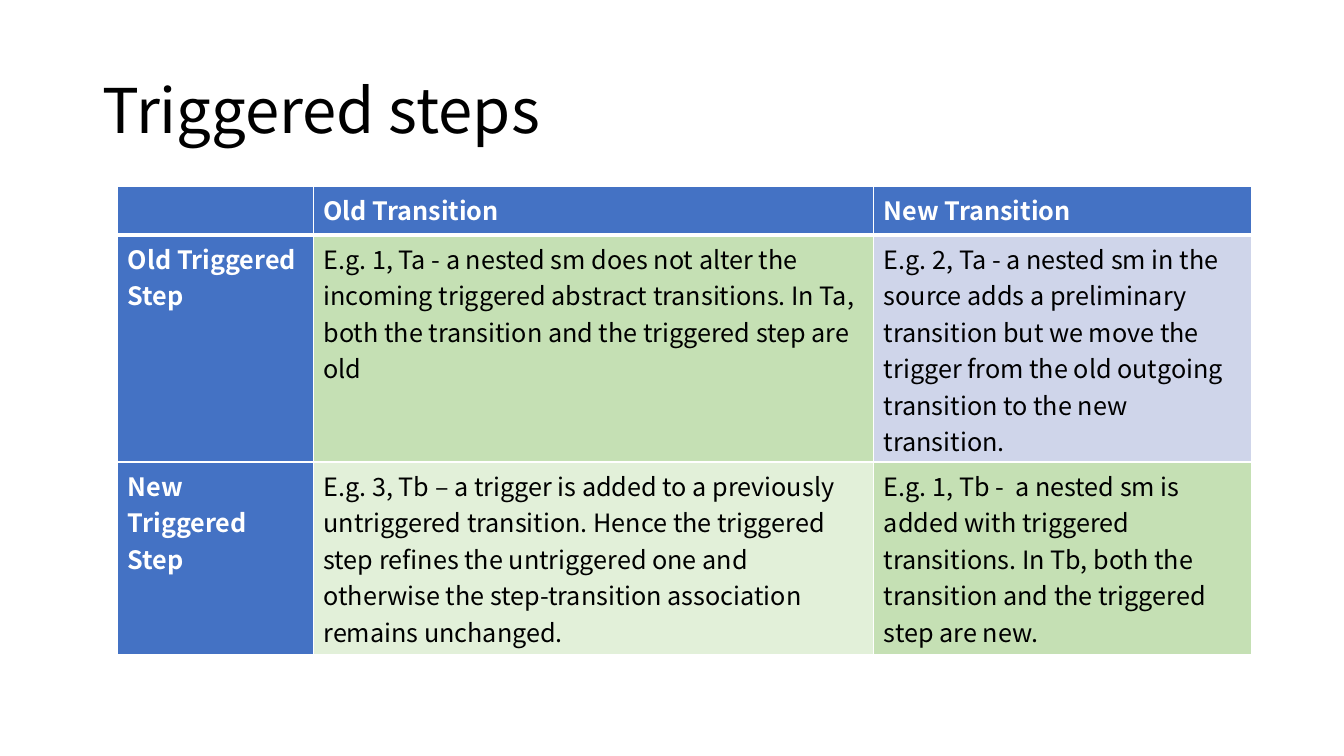
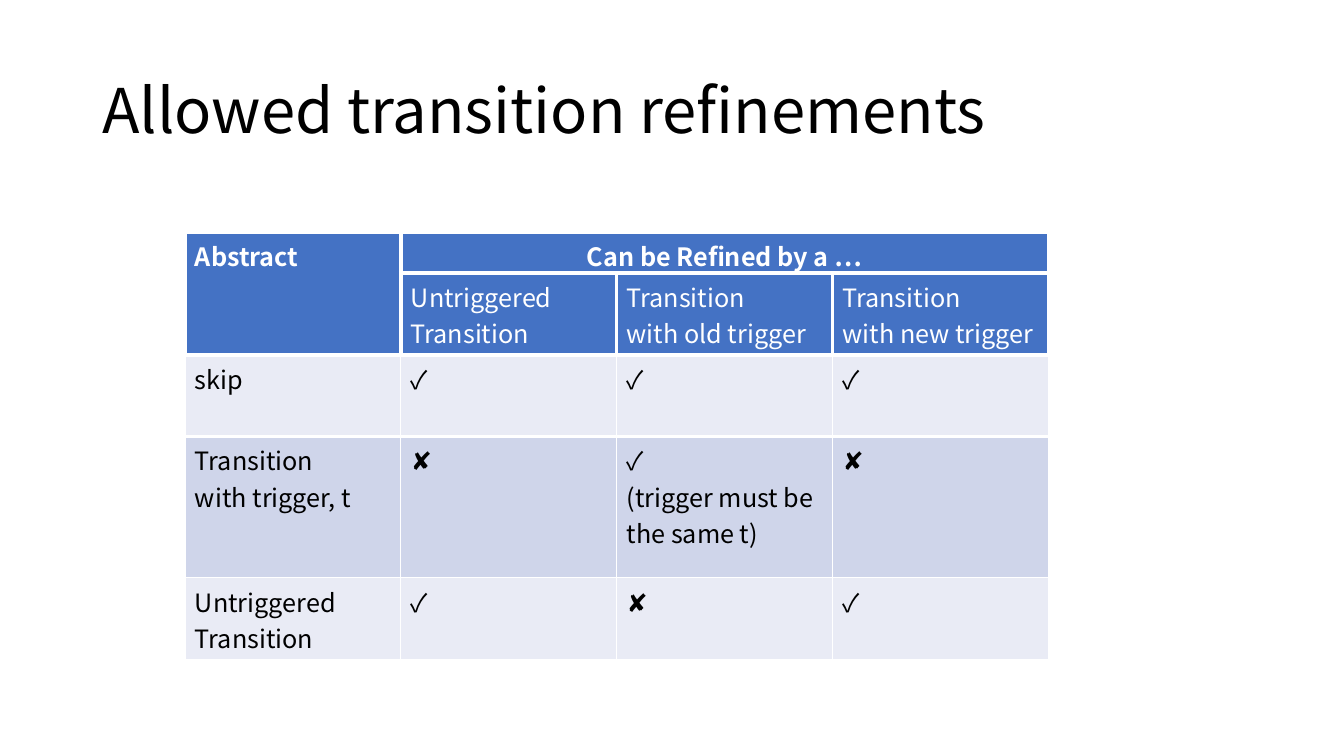
"""Build two slides that tabulate triggered steps and allowed transition refinements."""
from lxml import etree
from pptx import Presentation
from pptx.dml.color import RGBColor
from pptx.enum.text import MSO_ANCHOR, PP_ALIGN
from pptx.oxml.ns import qn
from pptx.util import Cm, Pt

MIDDLE = MSO_ANCHOR.MIDDLE
CENTER = PP_ALIGN.CENTER
FONT = "Noto Sans CJK SC"
BLACK, WHITE, BLUE = "000000", "FFFFFF", "4472C4"
LAVENDER, PALE_LAVENDER = "CFD5EA", "E9EBF5"
GREEN, PALE_GREEN = "C5E0B4", "E2F0D9"
THIN, THICK = 1, 3


def style_text(frame, size, colour, bold=False):
    for paragraph in frame.paragraphs:
        for run in paragraph.runs:
            run.font.name = FONT
            run.font.size = Pt(size)
            run.font.bold = bold
            run.font.color.rgb = RGBColor.from_string(colour)


def set_borders(cell, left, right, top, bottom):
    properties = cell._tc.get_or_add_tcPr()
    for side, weight in zip("LRTB", (left, right, top, bottom)):
        line = etree.SubElement(properties, qn(f"a:ln{side}"), w=str(Pt(weight)))
        paint = etree.SubElement(line, qn("a:solidFill"))
        etree.SubElement(paint, qn("a:srgbClr"), val=WHITE)


triggered_steps = {
    "title": "Triggered steps",
    "left": 2.97, "top": 4.7,
    "columns": [4.93, 14.12, 9.53],
    "heights": [1.22, 5.72, 4.85],
    "texts": [
        ["", "Old Transition", "New Transition"],
        ["Old Triggered Step",
         "E.g. 1, Ta - a nested sm does not alter the incoming triggered abstract "
         "transitions. In Ta, both the transition and the triggered step are old",
         "E.g. 2, Ta - a nested sm in the source adds a preliminary transition but "
         "we move the trigger from the old outgoing transition to the new transition."],
        ["New Triggered Step",
         "E.g. 3, Tb – a trigger is added to a previously untriggered transition. "
         "Hence the triggered step refines the untriggered one and otherwise the "
         "step-transition association remains unchanged.",
         "E.g. 1, Tb -  a nested sm is added with triggered transitions. In Tb, both "
         "the transition and the triggered step are new."],
    ],
    "fills": [[BLUE] * 3, [BLUE, GREEN, LAVENDER], [BLUE, PALE_GREEN, GREEN]],
    "bold_rows": {0, 1, 2},
    "side_lines": [THIN] * 3,
    "row_lines": [THIN, THICK, THIN, THIN],
    "merges": [],
}
refinements = {
    "title": "Allowed transition refinements",
    "left": 4.66, "top": 5.84,
    "columns": [5.44] * 4,
    "heights": [1.04, 2.06, 2.06, 3.56, 2.06],
    "texts": [
        ["Abstract", "Can be Refined by a …", "", ""],
        ["", "Untriggered Transition", "Transition \vwith old trigger",
         "Transition \vwith new trigger"],
        ["skip", "✓", "✓", "✓"],
        ["Transition\vwith trigger, t", "✘", "✓\v(trigger must be the same t)", "✘"],
        ["Untriggered Transition", "✓", "✘", "✓"],
    ],
    "fills": [[BLUE] * 4, [BLUE] * 4, [PALE_LAVENDER] * 4, [LAVENDER] * 4,
              [PALE_LAVENDER] * 4],
    "bold_rows": {0},
    "side_lines": [THICK, THICK, THIN, THIN, THIN],
    "row_lines": [THICK, THICK, THICK, THICK, THIN, THIN],
    "merges": [((0, 0), (1, 0)), ((0, 1), (0, 3))],
}

deck = Presentation()
deck.slide_width, deck.slide_height = Cm(33.87), Cm(19.05)
blank = deck.slide_layouts[6]

for content in (triggered_steps, refinements):
    slide = deck.slides.add_slide(blank)
    title = slide.shapes.add_textbox(Cm(2.33), Cm(1.01), Cm(29.21), Cm(3.68)).text_frame
    title.word_wrap = True
    title.vertical_anchor = MIDDLE
    title.text = content["title"]
    title.paragraphs[0].line_spacing = 0.9
    style_text(title, 44, BLACK)

    columns, heights = content["columns"], content["heights"]
    grid = slide.shapes.add_table(
        len(heights), len(columns), Cm(content["left"]), Cm(content["top"]),
        Cm(sum(columns)), Cm(sum(heights))).table
    grid.horz_banding = False
    for column, width in zip(grid.columns, columns):
        column.width = Cm(width)
    for row, height in zip(grid.rows, heights):
        row.height = Cm(height)

    for r, (texts, fills) in enumerate(zip(content["texts"], content["fills"])):
        side = content["side_lines"][r]
        above, below = content["row_lines"][r:r + 2]
        for c, (text, fill) in enumerate(zip(texts, fills)):
            cell = grid.cell(r, c)
            set_borders(cell, side, side, above, below)
            cell.fill.solid()
            cell.fill.fore_color.rgb = RGBColor.from_string(fill)
            cell.text_frame.text = text
            heading = fill == BLUE
            style_text(cell.text_frame, 18, WHITE if heading else BLACK,
                       heading and r in content["bold_rows"])

    for first, last in content["merges"]:
        grid.cell(*first).merge(grid.cell(*last))
        if last[1] > first[1]:
            grid.cell(*first).text_frame.paragraphs[0].alignment = CENTER

deck.save("out.pptx")
